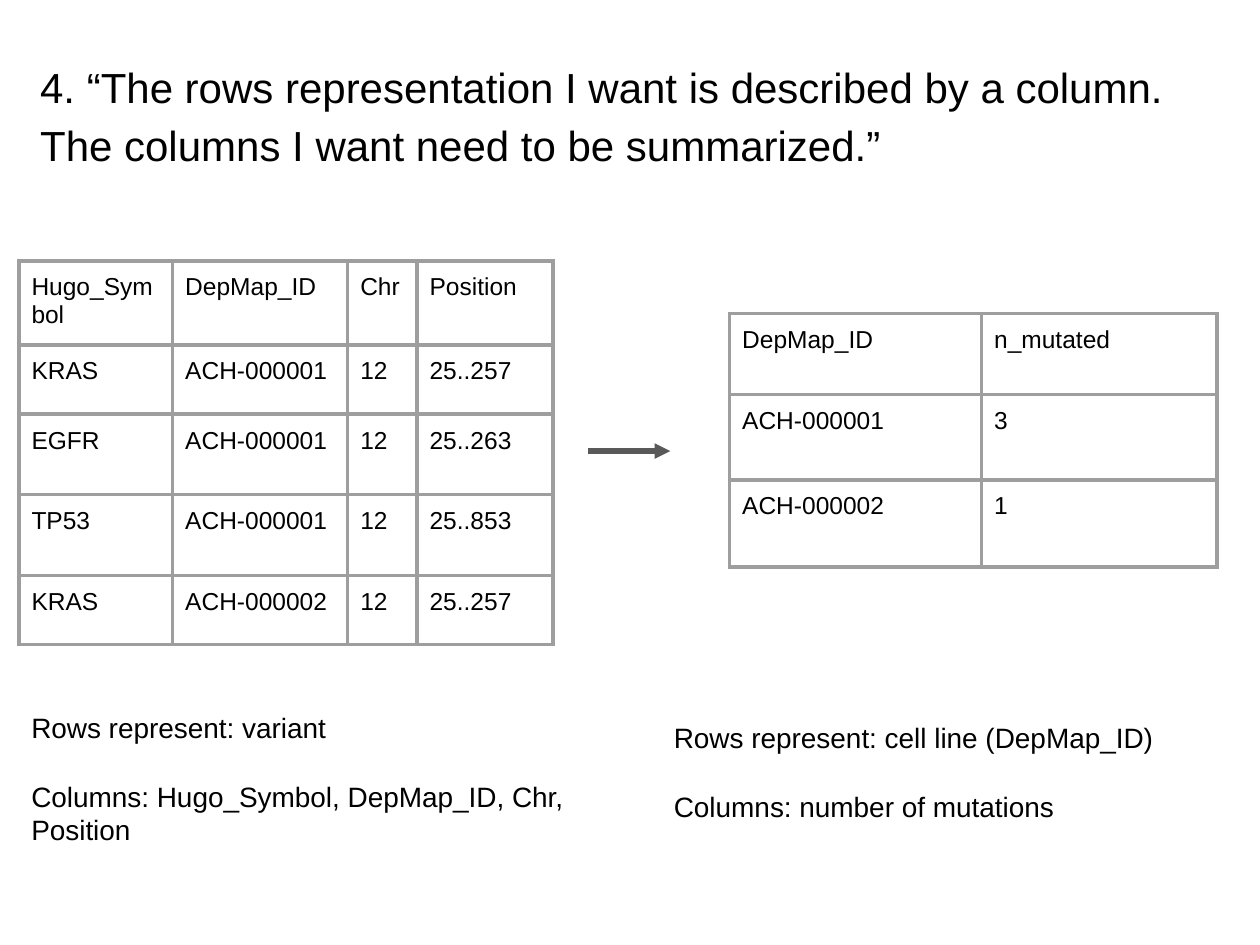
"""Build a slide that summarises a mutation table by cell line."""
from dataclasses import dataclass

from lxml.etree import SubElement
from pptx import Presentation
from pptx.dml.color import RGBColor
from pptx.enum.shapes import MSO_CONNECTOR
from pptx.enum.text import MSO_ANCHOR
from pptx.oxml.ns import qn
from pptx.util import Inches, Pt

COLORS = {"text": "000000", "border": "9E9E9E", "arrow": "595959"}
FONT = "Arial"
WIDTH, HEIGHT = Inches(10), Inches(7.5)
MARGIN = Inches(0.1)


@dataclass(frozen=True)
class Grid:
    """A table, with lengths in percent of the slide."""
    left: float
    top: float
    cols: list[float]
    rows: list[float]
    data: list[list[str]]


@dataclass(frozen=True)
class Note:
    """A text box, with lengths in percent of the slide."""
    left: float
    top: float
    width: float
    height: float
    lines: list[str]
    size: int = 16
    spacing: float = 1.0
    gap: int = 20


GRIDS = [
    Grid(57.9, 33.2, [20, 18.7], [8.53, 9.07, 9.2], [
        ["DepMap_ID", "n_mutated"],
        ["ACH-000001", "3"],
        ["ACH-000002", "1"],
    ]),
    Grid(1.5, 27.6, [12.2, 13.9, 5.5, 10.8], [8.53, 7.33, 8.53, 8.53, 7.33], [
        ["Hugo_Symbol", "DepMap_ID", "Chr", "Position"],
        ["KRAS", "ACH-000001", "12", "25..257"],
        ["EGFR", "ACH-000001", "12", "25..263"],
        ["TP53", "ACH-000001", "12", "25..853"],
        ["KRAS", "ACH-000002", "12", "25..257"],
    ]),
]
NOTES = [
    Note(2.2, 4.4, 93.2, 11.07, [
        "4. “The rows representation I want is described by a column. "
        "The columns I want need to be summarized.”"], 24, 1.15, 0),
    Note(1.5, 73.87, 46.6, 20.53, [
        "Rows represent: variant",
        "Columns: Hugo_Symbol, DepMap_ID, Chr, Position"]),
    Note(52.5, 74.93, 46.6, 20.53, [
        "Rows represent: cell line (DepMap_ID)",
        "Columns: number of mutations"]),
]


def across(share: float) -> int:
    """Turn a percentage of the slide width into a length."""
    return round(WIDTH * share / 100)


def down(share: float) -> int:
    """Turn a percentage of the slide height into a length."""
    return round(HEIGHT * share / 100)


def style_font(p, size: int) -> None:
    """Set the font of a whole paragraph."""
    p.font.name, p.font.size = FONT, Pt(size)
    p.font.color.rgb = RGBColor.from_string(COLORS["text"])


def add_borders(cell) -> None:
    """Draw the four borders of a cell."""
    tc_pr = cell._tc.get_or_add_tcPr()
    for i, side in enumerate(("a:lnL", "a:lnR", "a:lnT", "a:lnB")):
        ln = tc_pr.makeelement(qn(side), {"w": str(Pt(2.25))})
        fill = SubElement(ln, qn("a:solidFill"))
        SubElement(fill, qn("a:srgbClr"), val=COLORS["border"])
        tc_pr.insert(i, ln)


def add_grid(s, grid: Grid) -> None:
    """Add a bordered table without fill."""
    table = s.shapes.add_table(
        len(grid.rows), len(grid.cols), across(grid.left), down(grid.top),
        across(sum(grid.cols)), down(sum(grid.rows))).table
    table.first_row = table.horz_banding = False
    for col, share in zip(table.columns, grid.cols):
        col.width = across(share)
    for row, share, values in zip(table.rows, grid.rows, grid.data):
        row.height = down(share)
        for cell, value in zip(row.cells, values):
            cell.text = value
            cell.margin_left = cell.margin_right = MARGIN
            cell.margin_top = cell.margin_bottom = MARGIN
            cell.fill.background()
            style_font(cell.text_frame.paragraphs[0], 14)
            add_borders(cell)


def add_note(s, note: Note) -> None:
    """Add a wrapped text box with one paragraph a line."""
    tf = s.shapes.add_textbox(across(note.left), down(note.top),
                              across(note.width), down(note.height)).text_frame
    tf.word_wrap = True
    tf.vertical_anchor = MSO_ANCHOR.TOP
    tf.margin_left = tf.margin_right = tf.margin_top = tf.margin_bottom = MARGIN
    tf.text = "\n".join(note.lines)
    for p in tf.paragraphs:
        style_font(p, note.size)
        p.line_spacing = note.spacing
    for p in tf.paragraphs[:-1]:
        p.space_after = Pt(note.gap)


def add_arrow(s, start: float, end: float, top: float) -> None:
    """Add a horizontal arrow pointing right."""
    line = s.shapes.add_connector(MSO_CONNECTOR.STRAIGHT, across(start),
                                  down(top), across(end), down(top))
    line.line.color.rgb = RGBColor.from_string(COLORS["arrow"])
    line.line.width = Pt(3)
    SubElement(line.line._get_or_add_ln(), qn("a:tailEnd"), type="triangle")
    SubElement(line._element.spPr, qn("a:effectLst"))


def main() -> None:
    """Build and save the slide."""
    prs = Presentation()
    prs.slide_width, prs.slide_height = WIDTH, HEIGHT
    s = prs.slides.add_slide(prs.slide_layouts[6])
    for note in NOTES:
        add_note(s, note)
    for grid in GRIDS:
        add_grid(s, grid)
    add_arrow(s, 46.7, 53.2, 47.73)
    prs.save("out.pptx")


if __name__ == "__main__":
    main()
